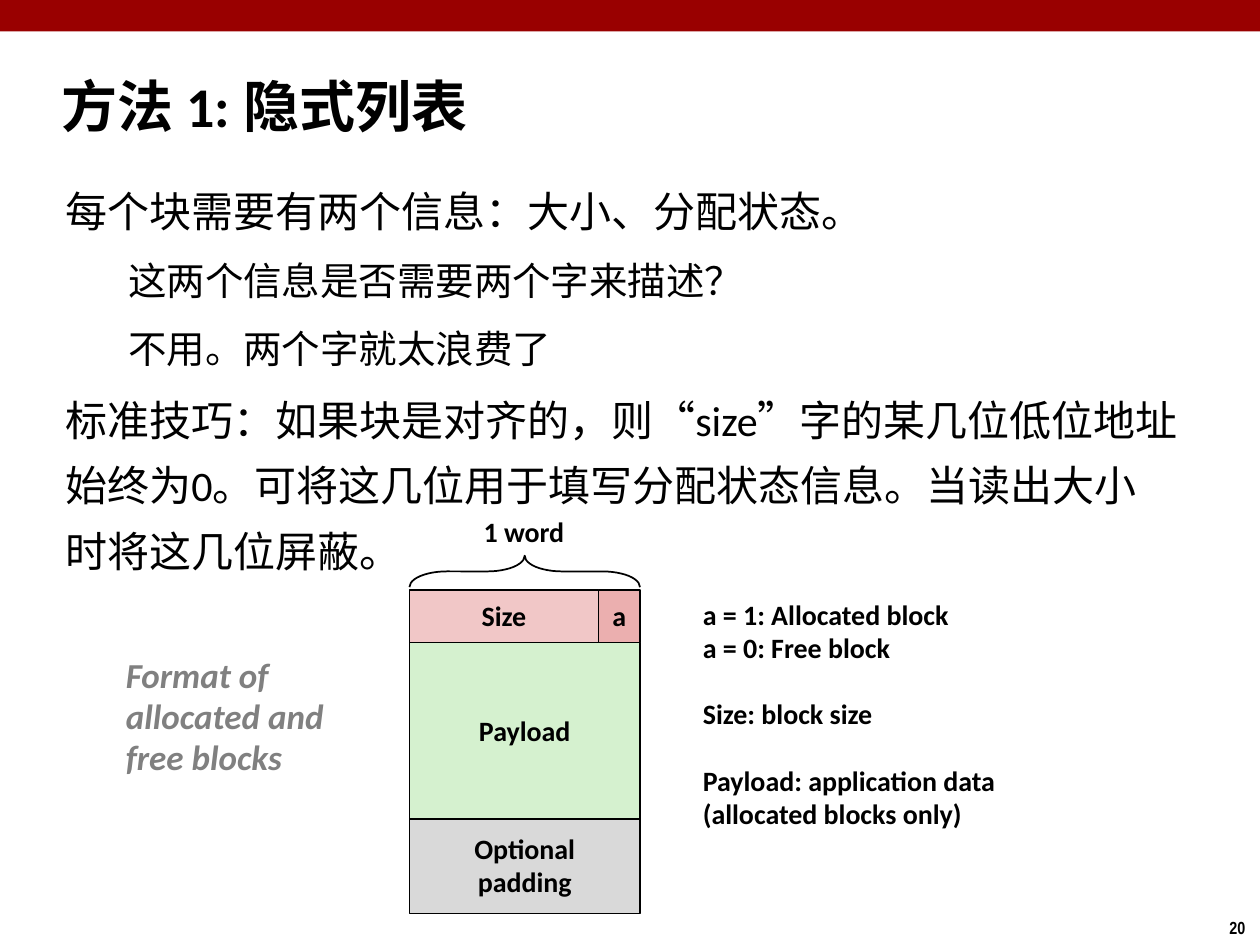
from dataclasses import dataclass

from pptx import Presentation
from pptx.dml.color import RGBColor
from pptx.enum.shapes import MSO_SHAPE
from pptx.enum.text import MSO_ANCHOR, MSO_AUTO_SIZE, PP_ALIGN
from pptx.util import Inches, Pt

HUES = {
    "bar": "990000", "ink": "000000", "grey": "808080", "size": "F1C7C7",
    "flag": "EBAFAF", "load": "D5F1CF", "pad": "D9D9D9",
}


@dataclass
class Line:
    text: str
    size: float = 16
    before: float = 0
    indent: float = 0


@dataclass
class Style:
    hue: str = "ink"
    bold: bool = True
    slant: bool = False
    font: str = "Calibri"
    space: float = 0.98
    align: PP_ALIGN = PP_ALIGN.LEFT


@dataclass
class Cell:
    text: str
    hue: str
    left: float
    top: float
    width: float
    height: float


def color(name: str) -> RGBColor:
    return RGBColor.from_string(HUES[name])


def write(frame, lines: list[Line], style: Style) -> None:
    frame.text = "\n".join(line.text for line in lines)
    for para, line in zip(frame.paragraphs, lines):
        para.alignment = style.align
        para.line_spacing = style.space
        para.space_before = Pt(line.before)
        if line.indent:
            props = para._p.get_or_add_pPr()
            props.set("marL", str(Inches(line.indent)))
            props.set("indent", "0")
        for run in para.runs:
            font = run.font
            font.name, font.size = style.font, Pt(line.size)
            font.bold, font.italic = style.bold, style.slant
            font.color.rgb = color(style.hue)


def add_text(shapes, box: tuple, lines: list[Line], style: Style,
             wrap: bool = False) -> None:
    frame = shapes.add_textbox(*map(Inches, box)).text_frame
    frame.word_wrap = wrap
    write(frame, lines, style)


def add_cell(shapes, cell: Cell) -> None:
    box = (cell.left, cell.top, cell.width, cell.height)
    shape = shapes.add_shape(MSO_SHAPE.RECTANGLE, *map(Inches, box))
    shape.shadow.inherit = False
    shape.fill.solid()
    shape.fill.fore_color.rgb = color(cell.hue)
    shape.line.color.rgb = color("ink")
    shape.line.width = Pt(1)
    frame = shape.text_frame
    frame.word_wrap = False
    frame.vertical_anchor = MSO_ANCHOR.MIDDLE
    lines = [Line(text) for text in cell.text.split("\n")]
    write(frame, lines, Style(align=PP_ALIGN.CENTER))


def add_brace(shapes, box: tuple) -> None:
    brace = shapes.add_shape(MSO_SHAPE.RIGHT_BRACE, *map(Inches, box))
    brace.shadow.inherit = False
    brace.rotation = 270
    brace.adjustments[0] = 1.188
    brace.fill.background()
    brace.line.color.rgb = color("ink")
    brace.line.width = Pt(1)


def main() -> None:
    deck = Presentation()
    deck.slide_width, deck.slide_height = Inches(10), Inches(7.5)
    slide = deck.slides.add_slide(deck.slide_layouts[5])
    shapes = slide.shapes

    # Top bar and page number
    bar = shapes.add_shape(MSO_SHAPE.RECTANGLE, 0, 0, Inches(10), Inches(0.25))
    bar.shadow.inherit = False
    bar.fill.solid()
    bar.fill.fore_color.rgb = color("bar")
    bar.line.fill.background()
    add_text(shapes, (9.66, 7.23, 0.34, 0.27), [Line("20", 10)],
             Style(font="Arial Narrow", space=1.0))

    # Title
    title = shapes.title
    title.left, title.top = Inches(0.39), Inches(0.52)
    title.width, title.height = Inches(7.21), Inches(0.63)
    frame = title.text_frame
    frame.auto_size = MSO_AUTO_SIZE.NONE
    frame.vertical_anchor = MSO_ANCHOR.MIDDLE
    write(frame, [Line("方法 1: 隐式列表", 32)], Style(space=1.0))

    # Body
    add_text(shapes, (0.42, 1.3, 9.03, 2.36), [
        Line("每个块需要有两个信息：大小、分配状态。", 24),
        Line("这两个信息是否需要两个字来描述？", 22, 4.4, 0.5),
        Line("不用。两个字就太浪费了", 22, 4.4, 0.5),
        Line("标准技巧：如果块是对齐的，则“size”字的某几位低位地址始终为0。"
             "可将这几位用于填写分配状态信息。当读出大小时将这几位屏蔽。", 24, 4.8),
    ], Style(bold=False, space=1.3), wrap=True)

    # Notes beside the block
    names = ("Format of", "allocated and", "free blocks")
    add_text(shapes, (0.9, 5.15, 1.78, 1.09),
             [Line(name, 20) for name in names], Style("grey", slant=True))
    gap = 19
    add_text(shapes, (5.48, 4.71, 2.55, 2.22), [
        Line("a = 1: Allocated block"),
        Line("a = 0: Free block"),
        Line("Size: block size", before=gap),
        Line("Payload: application data", before=gap),
        Line("(allocated blocks only)"),
    ], Style())

    # Block diagram
    block = shapes.add_group_shape().shapes
    left, top, width, head, flag = 3.25, 4.68, 1.83, 0.42, 0.33
    split = width - flag
    for cell in (
        Cell("Size", "size", left, top, split, head),
        Cell("Payload", "load", left, top + head, width, 1.41),
        Cell("a", "flag", left + split, top, flag, head),
        Cell("Optional\npadding", "pad", left, 6.5, width, 0.75),
    ):
        add_cell(block, cell)
    add_text(block, (3.74, 4.05, 0.85, 0.37), [Line("1 word")], Style())
    add_brace(block, (4.04, 3.62, 0.25, width))

    deck.save("out.pptx")


if __name__ == "__main__":
    main()
